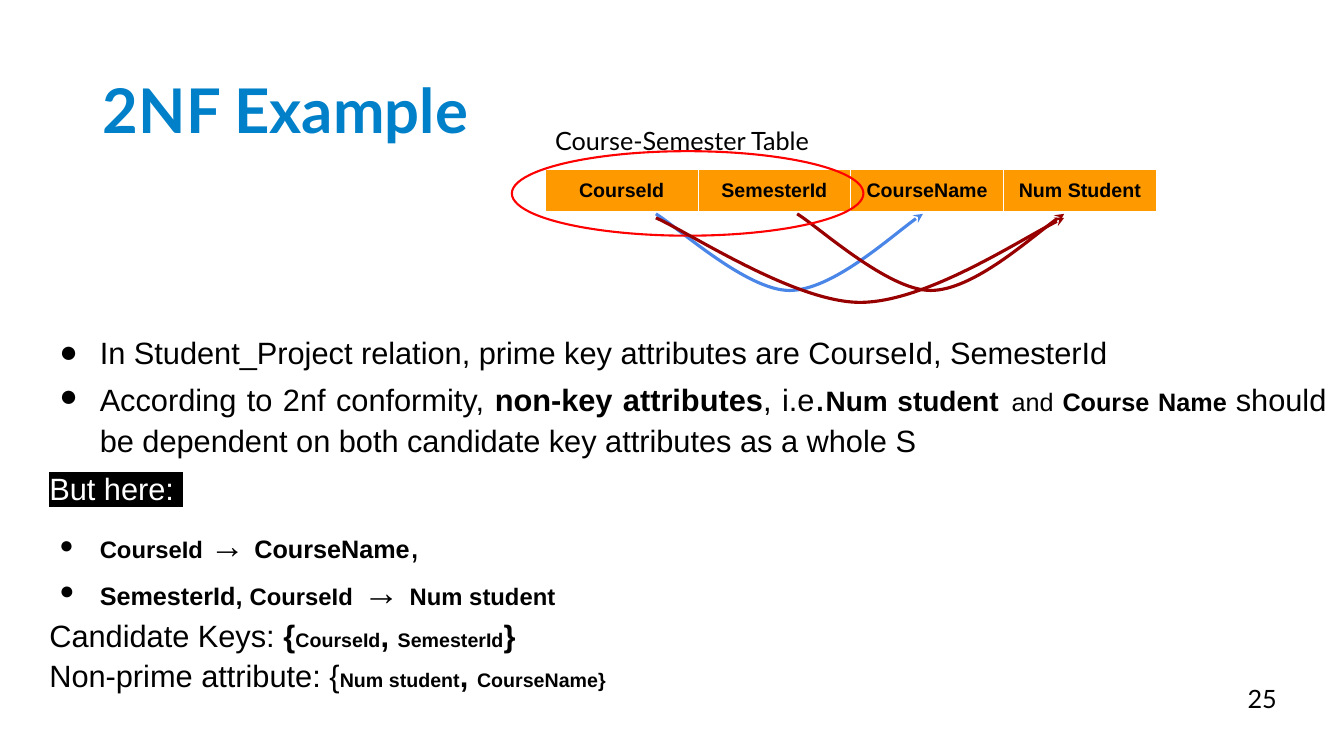
from lxml import etree
from pptx import Presentation
from pptx.dml.color import RGBColor
from pptx.enum.shapes import MSO_SHAPE
from pptx.enum.text import MSO_ANCHOR, MSO_AUTO_SIZE, PP_ALIGN
from pptx.oxml.ns import qn
from pptx.util import Cm, Pt

BLACK = RGBColor(0x00, 0x00, 0x00)
WHITE = RGBColor(0xFF, 0xFF, 0xFF)
AZURE = RGBColor(0x00, 0x80, 0xC9)
AMBER = RGBColor(0xFF, 0x99, 0x00)
BLUE = RGBColor(0x4A, 0x86, 0xE8)
MAROON = RGBColor(0x98, 0x00, 0x00)
RED = RGBColor(0xFF, 0x00, 0x00)
LEFT, CENTER, JUSTIFY = PP_ALIGN.LEFT, PP_ALIGN.CENTER, PP_ALIGN.JUSTIFY
TOP, MIDDLE = MSO_ANCHOR.TOP, MSO_ANCHOR.MIDDLE
FIXED = MSO_AUTO_SIZE.NONE
OVAL = MSO_SHAPE.OVAL

HEADS = ["CourseId", "SemesterId", "CourseName", "Num Student"]
ARCS = [
    (2.79, 1.12, 6.73, 1.93, BLUE),
    (6.35, 1.12, 6.73, 1.93, MAROON),
    (2.79, 1.22, 10.29, 2.13, MAROON),
]
RULES = [
    (True, 0, 1.1, [
        ("In Student_Project relation, prime key attributes are CourseId, SemesterId", 22, False)]),
    (True, 0, 1.05, [
        ("According to 2nf conformity, ", 22, False), ("non-key attributes", 22, True),
        (", i.e", 22, False), (".", 28, False), ("Num student", 20, True), (" ", 28, True),
        ("and ", 18, False), ("Course Name ", 18, True),
        ("should be dependent on both candidate key attributes as a whole S", 22, False)]),
]
FACTS = [
    (False, 10, 1.08, [("But here: ", 22, False)]),
    (True, 10, 1.08, [
        ("CourseId ", 17, True), ("→ ", 25, False), ("CourseName", 18, True), (", ", 25, False)]),
    (True, 0, 1.08, [
        ("SemesterId, ", 18, True), ("CourseId", 17, True), (" → ", 26, True),
        ("Num student", 17, True)]),
    (False, 10, 0.7, [
        ("Candidate Keys: ", 22, False), ("{", 22, True), ("CourseId", 14, True),
        (", ", 22, True), ("SemesterId", 14, True), ("}", 22, True)]),
    (False, 10, 0.7, [
        ("Non-prime attribute: {", 22, False), ("Num student", 14, True),
        (", ", 22, True), ("CourseName}", 14, True)]),
]


def apply(item, values):
    """Set each named attribute of the item."""
    for name, value in values.items():
        setattr(item, name, value)


def place(shape, box):
    """Move the shape to a box of left, top, width and height in cm."""
    apply(shape, dict(zip(("left", "top", "width", "height"), map(Cm, box))))


def write(para, text, size, bold=False, face="Arial", color=BLACK):
    """Add a formatted run to the paragraph and return it."""
    run = para.add_run()
    run.text = text
    apply(run.font, {"size": Pt(size), "bold": bold, "name": face})
    run.font.color.rgb = color
    return run


def mark(run, color):
    """Put a highlight behind the run."""
    light = etree.Element(qn("a:highlight"))
    etree.SubElement(light, qn("a:srgbClr"), val=str(color))
    run.font.fill
    run._r.rPr.find(qn("a:solidFill")).addnext(light)


def indent(para, listed):
    """Give the paragraph a round bullet, or none at all."""
    props = para._p.get_or_add_pPr()
    props.set("marL", str(Cm(1.27) if listed else 0))
    props.set("indent", str(Cm(-1.02) if listed else 0))
    if listed:
        tint = etree.SubElement(props, qn("a:buClr"))
        etree.SubElement(tint, qn("a:srgbClr"), val=str(BLACK))
        etree.SubElement(props, qn("a:buChar"), char="●")
    else:
        etree.SubElement(props, qn("a:buNone"))


def add_title(slide, box):
    """Fill the title placeholder."""
    title = slide.shapes.title
    place(title, box)
    frame = title.text_frame
    apply(frame, {"vertical_anchor": MIDDLE, "auto_size": FIXED, "word_wrap": True})
    para = frame.paragraphs[0]
    apply(para, {"alignment": LEFT, "line_spacing": 0.9})
    write(para, "2NF Example", 44, True, "Lato", AZURE)


def add_body(holder, box, rows):
    """Fill a body placeholder with rows of mixed runs."""
    place(holder, box)
    frame = holder.text_frame
    apply(frame, {"vertical_anchor": TOP, "auto_size": FIXED, "word_wrap": True})
    for place_no, (listed, before, pitch, runs) in enumerate(rows):
        para = frame.add_paragraph() if place_no else frame.paragraphs[0]
        apply(para, {"alignment": JUSTIFY, "space_before": Pt(before), "line_spacing": pitch})
        indent(para, listed)
        for run in runs:
            write(para, *run)


def add_label(slide, box, text, inset):
    """Add a plain line of text."""
    label = slide.shapes.add_textbox(*map(Cm, box))
    frame = label.text_frame
    apply(frame, {"word_wrap": True, "margin_top": Cm(inset), "margin_bottom": Cm(inset)})
    write(frame.paragraphs[0], text, 18, face="Lato")


def edge(cell, color):
    """Draw thin borders round the cell."""
    props = cell._tc.get_or_add_tcPr()
    for spot, side in enumerate(("lnL", "lnR", "lnT", "lnB")):
        line = etree.Element(qn(f"a:{side}"), w=str(Pt(0.75)))
        fill = etree.SubElement(line, qn("a:solidFill"))
        etree.SubElement(fill, qn("a:srgbClr"), val=str(color))
        props.insert(spot, line)


def add_heads(slide, box):
    """Add the one-row table of column names."""
    table = slide.shapes.add_table(1, len(HEADS), *map(Cm, box)).table
    sides = ("margin_left", "margin_right", "margin_top", "margin_bottom")
    for cell, text in zip(table.rows[0].cells, HEADS):
        apply(cell, dict.fromkeys(sides, Cm(0.25)))
        cell.fill.solid()
        cell.fill.fore_color.rgb = AMBER
        edge(cell, WHITE)
        para = cell.text_frame.paragraphs[0]
        para.alignment = CENTER
        write(para, text, 14, True)


def add_arc(slide, left, top, span, depth, color):
    """Add a hanging curve that ends in an arrowhead."""
    steps = [(0.08, 0.17), (0.34, 1), (0.5, 1), (0.66, 1), (0.92, 0.17), (1, 0)]
    points = [(Cm(left + x * span), Cm(top + y * depth)) for x, y in steps]
    maker = slide.shapes.build_freeform(Cm(left), Cm(top))
    maker.add_line_segments(points, close=False)
    arc = maker.convert_to_shape()
    arc.shadow.inherit = False
    arc.fill.background()
    arc.line.color.rgb = color
    arc.line.width = Pt(2.25)
    etree.SubElement(arc.line._get_or_add_ln(), qn("a:tailEnd"), type="stealth")
    parts = list(arc._element.iter(qn("a:lnTo")))
    for start in (0, 3):
        curve = etree.Element(qn("a:cubicBezTo"))
        parts[start].addprevious(curve)
        for part in parts[start:start + 3]:
            curve.append(part[0])
            part.getparent().remove(part)


def add_ring(slide, box):
    """Circle the prime key columns."""
    ring = slide.shapes.add_shape(OVAL, *map(Cm, box))
    ring.shadow.inherit = False
    ring.fill.background()
    ring.line.color.rgb = RED
    ring.line.width = Pt(1.5)


def add_chart(slide, box):
    """Place the table with its label, ring and arcs in the box."""
    left, top, width, height = box
    add_heads(slide, box)
    for x, y, span, depth, color in ARCS[:2]:
        add_arc(slide, left + x, top + y, span, depth, color)
    add_label(slide, (left, top - 1.37, 9.27, 1.02), "Course-Semester Table", 0.25)
    add_ring(slide, (left - 0.84, top - 0.46, 8.86, 2.13))
    x, y, span, depth, color = ARCS[2]
    add_arc(slide, left + x, top + y, span, depth, color)


def main():
    """Build the slide and save it."""
    deck = Presentation()
    apply(deck, {"slide_width": Cm(33.87), "slide_height": Cm(19.05)})
    slide = deck.slides.add_slide(deck.slide_layouts[3])
    add_title(slide, (2.34, 1.02, 29.21, 3.68))
    facts, rules = slide.placeholders[1], slide.placeholders[2]
    add_body(facts, (0.99, 11.63, 29.21, 5.49), FACTS)
    lead = facts.text_frame.paragraphs[0].runs[0]
    lead.font.color.rgb = WHITE
    mark(lead, BLACK)
    add_chart(slide, (13.74, 4.27, 15.4, 1.07))
    add_label(slide, (31.19, 17.09, 2.69, 1.02), "25", 0.13)
    add_body(rules, (0.99, 8.18, 32.69, 4.72), RULES)
    deck.save("out.pptx")


if __name__ == "__main__":
    main()
